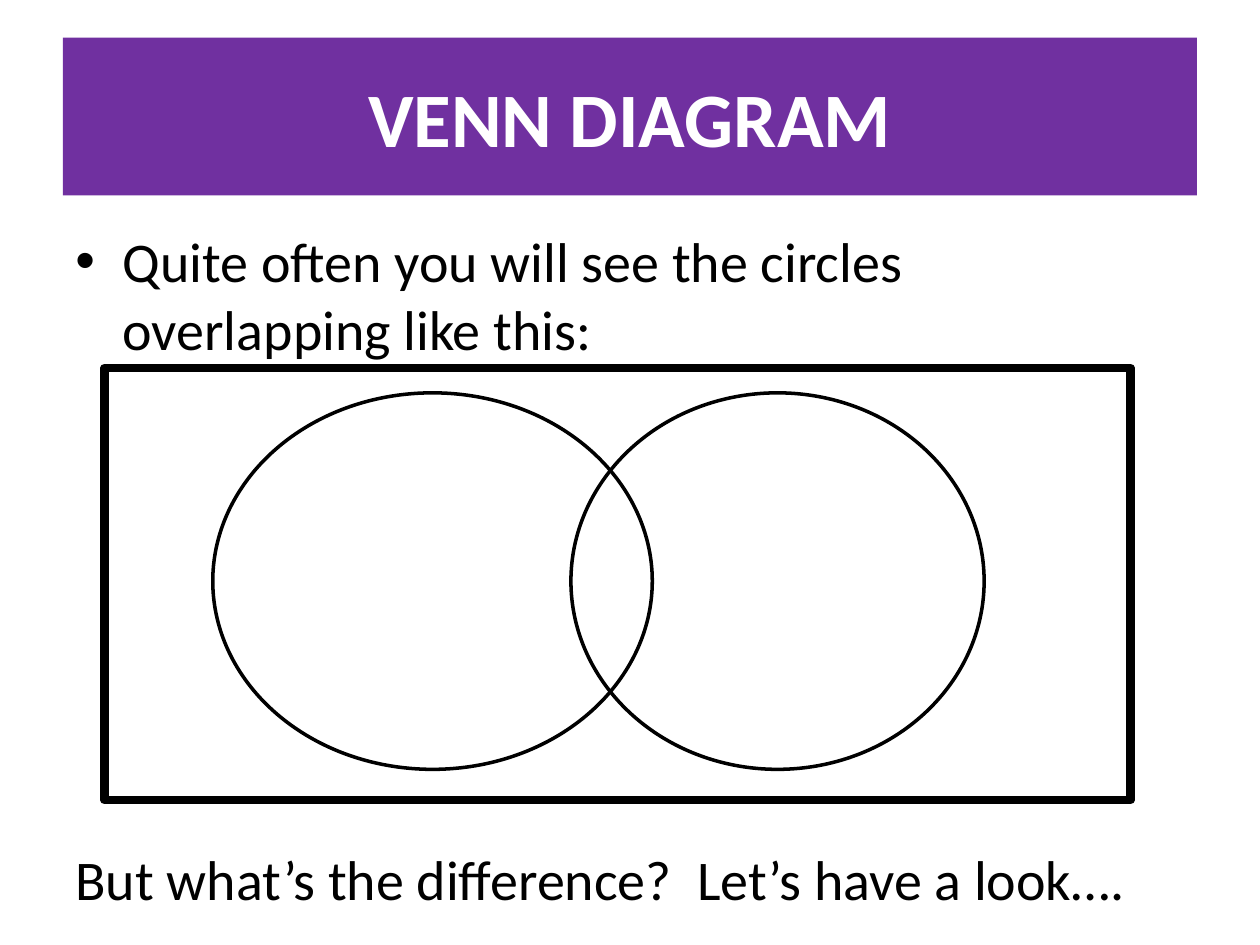
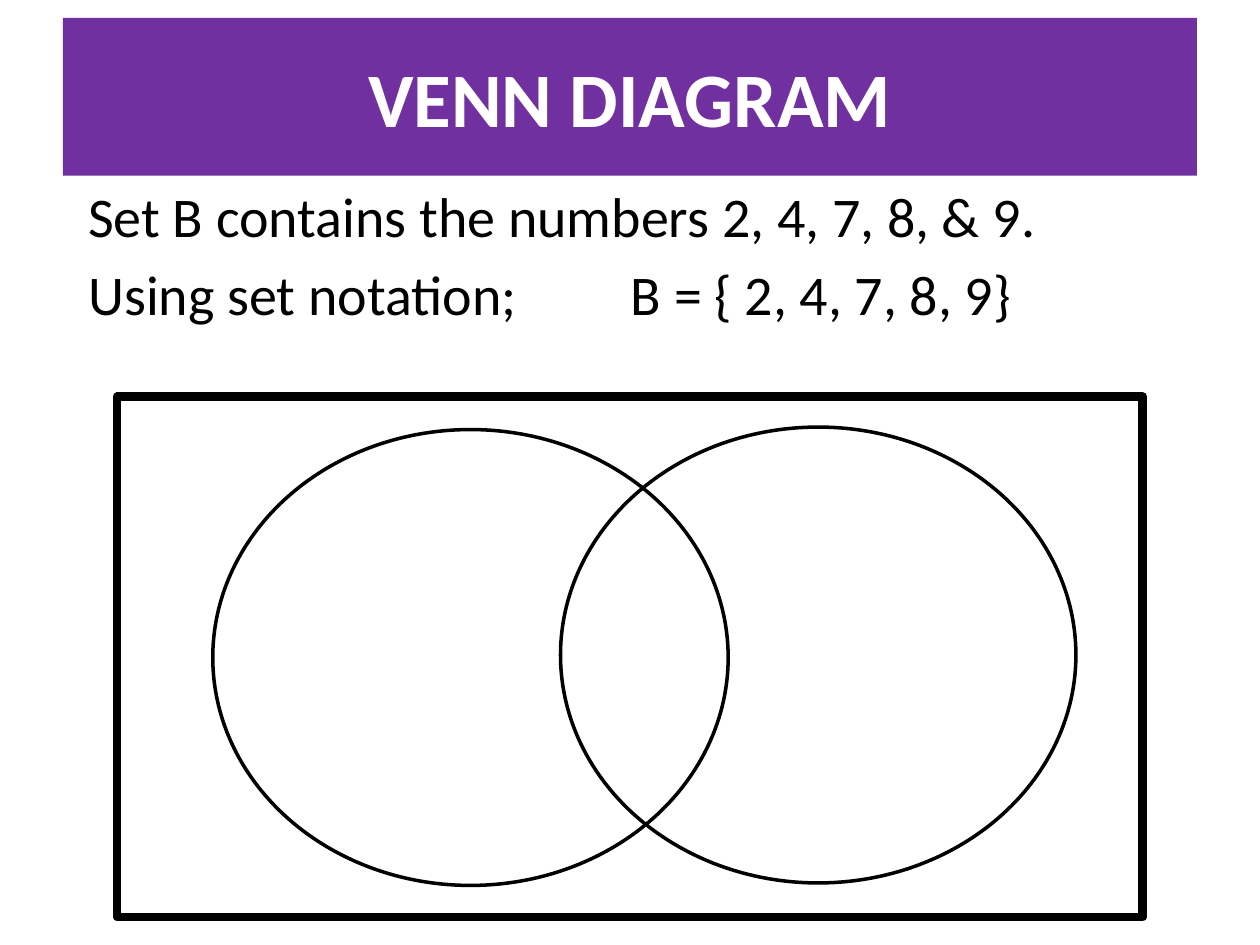
import pptx
import pptx.dml.color
import pptx.enum.shapes
import pptx.enum.text
import pptx.util
from lxml import etree
from pptx.oxml.ns import qn

Cm = pptx.util.Cm
SHAPES = pptx.enum.shapes.MSO_SHAPE
ALIGN = pptx.enum.text.PP_ALIGN
ANCHOR = pptx.enum.text.MSO_ANCHOR

# Content: places are (left, top, width, height) in centimetres
TITLE = "VENN DIAGRAM"
SLIDES = [
    {
        "title_top": 0.76,
        "frame": (2.11, 7.42, 20.68, 8.71),
        "circles": [(4.29, 7.92, 8.86, 7.59), (11.51, 7.92, 8.33, 7.59)],
        "texts": [
            {"lines": ["Quite often you will see the circles overlapping like this:"],
             "place": (1.27, 4.45, 22.86, 2.97), "bullet": "•"},
            {"lines": ["But what’s the difference?  Let’s have a look…."],
             "place": (1.27, 16.89, 22.86, 1.8)},
        ],
    },
    {
        "title_top": 0.36,
        "frame": (2.36, 8.0, 20.68, 10.49),
        "circles": [(11.3, 8.61, 10.39, 9.19), (4.29, 8.66, 10.39, 9.19)],
        "texts": [
            {"lines": ["Set B contains the numbers 2, 4, 7, 8, & 9.",
                       "Using set notation;\tB = { 2, 4, 7, 8, 9}"],
             "place": (1.53, 3.53, 22.6, 3.6), "tab": 10.94},
        ],
    },
]


class Theme:
    font = "Calibri"
    band = "7030A0"
    title_text = "FFFFFF"
    ink = "000000"
    title_size = 44
    body_size = 32
    paragraph_gap = 6
    frame_width = 5
    circle_width = 2
    title_left, title_width, title_height = 1.27, 22.86, 3.18
    bullet_indent = 0.95


def rgb(value):
    return pptx.dml.color.RGBColor.from_string(value)


def add_outline(slide, kind, place, width):
    """Draw an unfilled shape with a black line."""
    shape = slide.shapes.add_shape(kind, *map(Cm, place))
    shape.shadow.inherit = False
    shape.fill.background()
    shape.line.color.rgb = rgb(Theme.ink)
    shape.line.width = pptx.util.Pt(width)


def add_bullet(paragraph, character):
    properties = paragraph._p.get_or_add_pPr()
    properties.set("marL", str(Cm(Theme.bullet_indent)))
    properties.set("indent", str(-Cm(Theme.bullet_indent)))
    etree.SubElement(properties, qn("a:buFont"), typeface="Arial")
    etree.SubElement(properties, qn("a:buChar"), char=character)


def add_tab(paragraph, position):
    stops = etree.SubElement(paragraph._p.get_or_add_pPr(), qn("a:tabLst"))
    etree.SubElement(stops, qn("a:tab"), pos=str(Cm(position)), algn="l")


def add_text(slide, lines, place, size=Theme.body_size, color=Theme.ink, bold=False,
             align=ALIGN.LEFT, anchor=ANCHOR.TOP, fill=None, bullet=None, tab=None):
    box = slide.shapes.add_textbox(*map(Cm, place))
    if fill:
        box.fill.solid()
        box.fill.fore_color.rgb = rgb(fill)
    frame = box.text_frame
    frame.word_wrap = True
    frame.vertical_anchor = anchor
    for index, line in enumerate(lines):
        paragraph = frame.add_paragraph() if index else frame.paragraphs[0]
        paragraph.text = line
        paragraph.alignment = align
        if index:
            paragraph.space_before = pptx.util.Pt(Theme.paragraph_gap)
        if bullet:
            add_bullet(paragraph, bullet)
        if tab and "\t" in line:
            add_tab(paragraph, tab)
        font = paragraph.font
        font.name = Theme.font
        font.size = pptx.util.Pt(size)
        font.bold = bold
        font.color.rgb = rgb(color)


def add_title(slide, top):
    add_text(slide, [TITLE], (Theme.title_left, top, Theme.title_width, Theme.title_height),
             size=Theme.title_size, color=Theme.title_text, bold=True,
             align=ALIGN.CENTER, anchor=ANCHOR.MIDDLE, fill=Theme.band)


def build_slide(presentation, content):
    slide = presentation.slides.add_slide(presentation.slide_layouts[6])
    # Universal set, then title and wording, then the two sets
    add_outline(slide, SHAPES.RECTANGLE, content["frame"], Theme.frame_width)
    add_title(slide, content["title_top"])
    for text in content["texts"]:
        add_text(slide, **text)
    for circle in content["circles"]:
        add_outline(slide, SHAPES.OVAL, circle, Theme.circle_width)


def main():
    presentation = pptx.Presentation()
    presentation.slide_width = Cm(25.4)
    presentation.slide_height = Cm(19.05)
    for content in SLIDES:
        build_slide(presentation, content)
    presentation.save("out.pptx")


if __name__ == "__main__":
    main()
